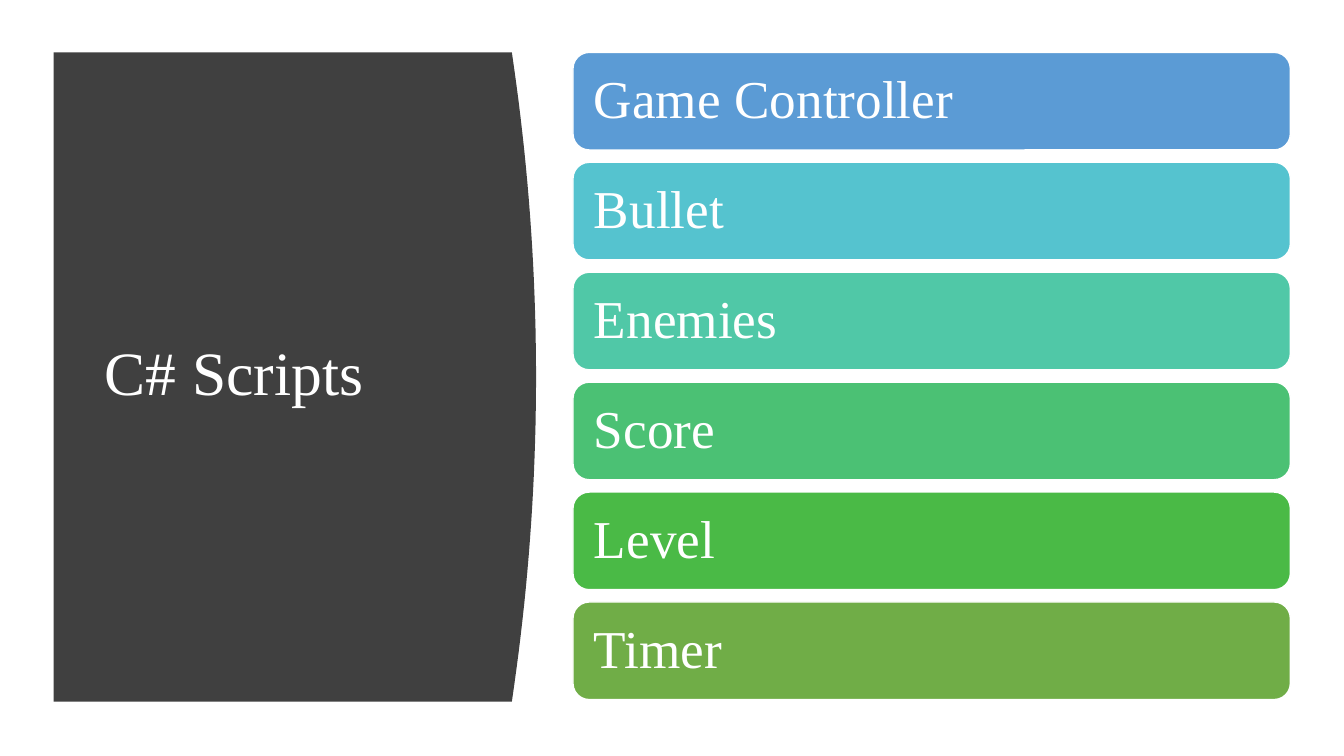
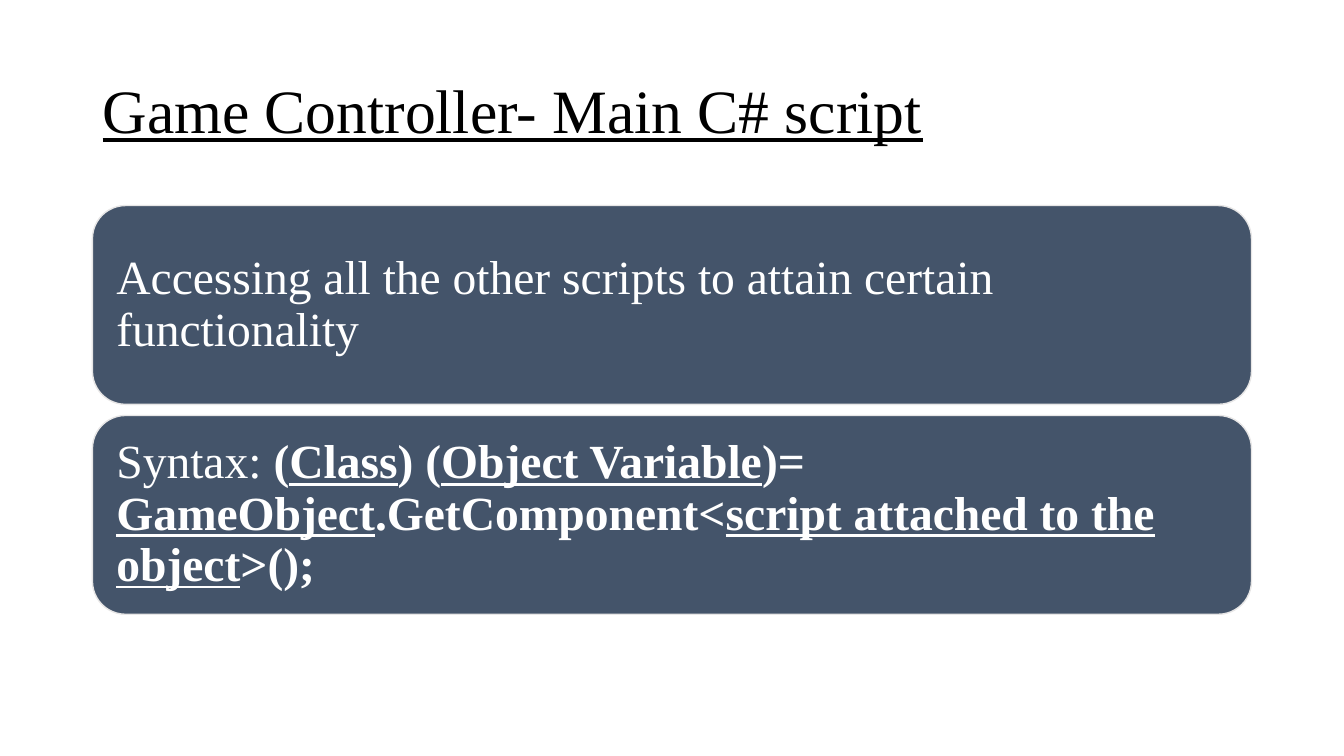
from pptx import Presentation
from pptx.dml.color import RGBColor
from pptx.enum.shapes import MSO_SHAPE
from pptx.enum.text import MSO_ANCHOR, MSO_AUTO_SIZE, PP_ALIGN
from pptx.util import Cm, Pt

FONT = "Times New Roman"
WHITE, BLACK, CHARCOAL, SLATE, PALE = "FFFFFF", "000000", "404040", "44546A", "E7E6E6"
BOLD = {"bold": True}
KEY = {"bold": True, "underline": True}

SCRIPTS = {
    "title": [("C# Scripts", {})],
    "title_box": (2.39, 2.82, 9.5, 13.31),
    "title_color": WHITE,
    "panel": {"left": 1.35, "top": 1.32, "edge": 12.9, "bulge": 0.61, "height": 16.36},
    "cards": [
        ([("Game Controller", {})], "5B9BD5"),
        ([("Bullet", {})], "55C3CF"),
        ([("Enemies", {})], "50C8A7"),
        ([("Score", {})], "4BC174"),
        ([("Level", {})], "4ABA46"),
        ([("Timer", {})], "70AD47"),
    ],
    "first_card": (14.44, 1.32, 18.08, 2.46),
    "gap": 0.31,
    "card_style": {"size": 38, "inset": 0.41, "line": WHITE},
}
CONTROLLER = {
    "title": [("Game Controller- Main C# script", {"underline": True})],
    "title_box": (2.33, 1.02, 29.21, 3.68),
    "title_color": BLACK,
    "cards": [
        ([("Accessing all the other scripts to attain certain functionality", {})], SLATE),
        ([("Syntax: ", {}), ("(", BOLD), ("Class", KEY), (") (", BOLD),
          ("Object Variable", KEY), (")= ", BOLD), ("GameObject", KEY),
          (".GetComponent<", BOLD), ("script attached to the object", KEY),
          (">();", BOLD)], SLATE),
    ],
    "first_card": (2.33, 5.18, 29.21, 5.01),
    "gap": 0.28,
    "card_style": {"size": 34, "inset": 0.36, "line": PALE},
}


def rgb(value):
    return RGBColor.from_string(value)


def set_all(target, values):
    for name, value in values.items():
        setattr(target, name, value)


def write(sp, runs, size, color, inset=None):
    tf = sp.text_frame
    set_all(tf, {"word_wrap": True, "auto_size": MSO_AUTO_SIZE.NONE,
                 "vertical_anchor": MSO_ANCHOR.MIDDLE})
    if inset is not None:
        for side in ("left", "top", "right", "bottom"):
            setattr(tf, f"margin_{side}", Cm(inset))
    p = tf.paragraphs[0]
    set_all(p, {"alignment": PP_ALIGN.LEFT, "line_spacing": 0.9})
    for text, style in runs:
        r = p.add_run()
        r.text = text
        set_all(r.font, {"name": FONT, "size": Pt(size), **style})
        r.font.color.rgb = rgb(color)


def paint(sp, fill, line=None):
    sp.shadow.inherit = False
    sp.fill.solid()
    sp.fill.fore_color.rgb = rgb(fill)
    if line:
        sp.line.color.rgb = rgb(line)
        sp.line.width = Pt(1)
    else:
        sp.line.fill.background()


def add_panel(s, left, top, edge, bulge, height, steps=40):
    curve = []
    for i in range(steps + 1):
        t = 2 * i / steps - 1
        curve.append((Cm(edge + bulge * (1 - t * t)), Cm(top + height * i / steps)))
    builder = s.shapes.build_freeform(Cm(left), Cm(top), scale=1.0)
    builder.add_line_segments(curve + [(Cm(left), Cm(top + height))], close=True)
    sp = builder.convert_to_shape()
    paint(sp, CHARCOAL)
    return sp


def add_cards(s, cards, first, gap, size, inset, line):
    left, top, width, height = first
    for i, (runs, fill) in enumerate(cards):
        y = top + i * (height + gap)
        sp = s.shapes.add_shape(MSO_SHAPE.ROUNDED_RECTANGLE,
                                Cm(left), Cm(y), Cm(width), Cm(height))
        paint(sp, fill, line)
        write(sp, runs, size, WHITE, inset)


def build_slide(prs, content):
    s = prs.slides.add_slide(prs.slide_layouts[5])
    title = s.shapes.title
    set_all(title, dict(zip(("left", "top", "width", "height"),
                            map(Cm, content["title_box"]))))
    write(title, content["title"], 44, content["title_color"])
    if "panel" in content:
        panel = add_panel(s, **content["panel"])
        panel._element.addnext(title._element)
    add_cards(s, content["cards"], content["first_card"], content["gap"],
              **content["card_style"])


def main():
    prs = Presentation()
    set_all(prs, {"slide_width": Cm(33.87), "slide_height": Cm(19.05)})
    for content in (SCRIPTS, CONTROLLER):
        build_slide(prs, content)
    prs.save("out.pptx")


if __name__ == "__main__":
    main()
